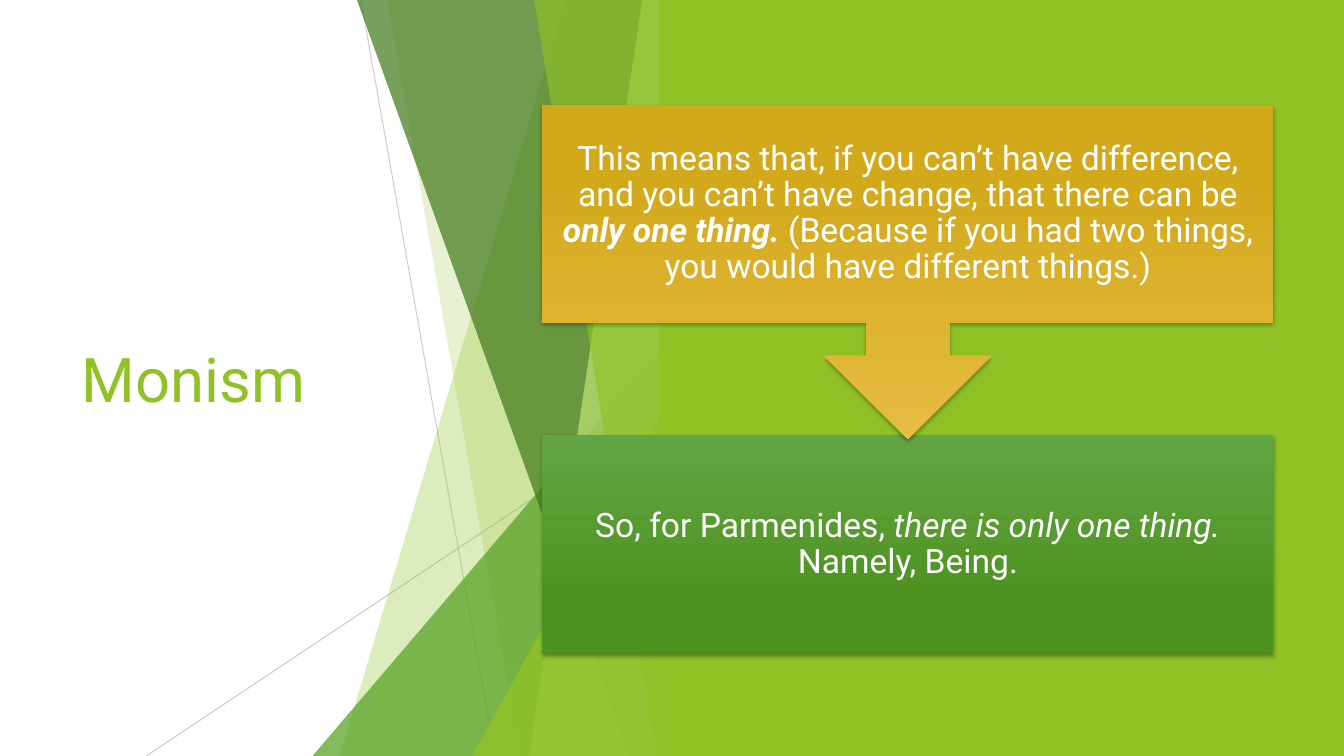
from dataclasses import dataclass
from lxml.etree import SubElement
from pptx import Presentation
from pptx.dml.color import RGBColor as Rgb
from pptx.enum.shapes import MSO_CONNECTOR as Conn, MSO_SHAPE as Kind
from pptx.enum.text import MSO_ANCHOR as Anchor, PP_ALIGN as Align
from pptx.oxml.ns import qn
from pptx.util import Inches, Pt

WIDE, HIGH = 13.33, 7.5
EDGE = 6.66
FONT = "Roboto"
HUES = {
    "white": "FFFFFF", "black": "000000", "grey": "BFBFBF",
    "lime": "90C226", "green": "54A021", "dark": "3F7819", "pale": "C0E474",
    "leaf": "63A545", "moss": "4D921E", "gold": "E7BC43", "amber": "D2A91B",
}


@dataclass
class Ray:
    start: tuple[float, float]
    end: tuple[float, float]
    alpha: int


@dataclass
class Facet:
    """Full-height pane from its slanted side to EDGE."""
    hue: str
    alpha: int
    top: float
    foot: float


@dataclass
class Peak:
    """Triangle standing on the slide's foot, with its tip on EDGE."""
    hue: str
    alpha: int
    left: float
    tip: float


@dataclass
class Run:
    text: str
    bold: bool = False
    italic: bool = False


@dataclass
class Step:
    kind: Kind
    top: float
    high: float
    turn: int
    hues: tuple[str, str]
    runs: list[Run]


RAYS = [Ray((3.58, 0), (4.91, HIGH), 75), Ray((EDGE, 4.03), (1.45, HIGH), 80)]
PANES = [
    Facet("lime", 30, 5.61, 3.37),
    Facet("lime", 20, 3.84, 5.16),
    Peak("green", 72, 3.1, 3.33),
    Facet("dark", 70, 3.54, 6.24),
    Facet("pale", 70, 6.37, 5.25),
    Facet("lime", 65, 5.3, 6.51),
    Peak("lime", 80, 4.68, 3.93),
]
BOX_LEFT, BOX_WIDE, BOX_HIGH = 5.38, 7.25, 2.16
STEPS = [
    Step(Kind.RECTANGLE, 4.32, BOX_HIGH, 0, ("leaf", "moss"), [
        Run("So, for Parmenides, "),
        Run("there is only one thing.", italic=True),
        Run(" Namely, Being."),
    ]),
    Step(Kind.UP_ARROW_CALLOUT, 1.04, 3.32, 180, ("gold", "amber"), [
        Run("This means that, if you can’t have difference, and you can’t "
            "have change, that there can be "),
        Run("only one thing. ", bold=True, italic=True),
        Run("(Because if you had two things, you would have different things.)"),
    ]),
]


def color(name: str) -> Rgb:
    return Rgb.from_string(HUES[name])


def fade(shape, alpha: int) -> None:
    """Set the opacity, in percent, of the shape's colour."""
    for node in shape.element.spPr.iter(qn("a:srgbClr")):
        SubElement(node, qn("a:alpha"), val=str(alpha * 1000))


def paint(shape, hue: str) -> None:
    shape.shadow.inherit = False
    shape.fill.solid()
    shape.fill.fore_color.rgb = color(hue)
    shape.line.fill.background()


def draw_ray(shapes, ray: Ray) -> None:
    ends = [Inches(n) for n in ray.start + ray.end]
    line = shapes.add_connector(Conn.STRAIGHT, *ends)
    line.line.color.rgb = color("grey")
    line.line.width = Pt(0.75)
    fade(line, ray.alpha)
    SubElement(line.element.spPr, qn("a:effectLst"))


def draw_pane(shapes, pane: Facet | Peak) -> None:
    if isinstance(pane, Peak):
        shape = shapes.add_shape(
            Kind.ISOSCELES_TRIANGLE, Inches(pane.left), Inches(pane.tip),
            Inches(EDGE - pane.left), Inches(HIGH - pane.tip))
        shape.adjustments[0] = 1
    else:
        rest = [(EDGE, 0), (EDGE, HIGH), (pane.foot, HIGH)]
        path = shapes.build_freeform(Inches(pane.top), 0)
        path.add_line_segments([(Inches(x), Inches(y)) for x, y in rest])
        shape = path.convert_to_shape()
    paint(shape, pane.hue)
    fade(shape, pane.alpha)


def cast(shape) -> None:
    """Give the shape a soft shadow just below it."""
    shape.shadow.inherit = False
    effects = shape.element.spPr.find(qn("a:effectLst"))
    outer = SubElement(effects, qn("a:outerShdw"), blurRad=str(Pt(3)),
                       dist=str(Pt(2)), dir="5400000", rotWithShape="0")
    tint = SubElement(outer, qn("a:srgbClr"), val=HUES["black"])
    SubElement(tint, qn("a:alpha"), val="35000")


def draw_step(shapes, step: Step) -> None:
    left, top, wide = Inches(BOX_LEFT), Inches(step.top), Inches(BOX_WIDE)
    shape = shapes.add_shape(step.kind, left, top, wide, Inches(step.high))
    shape.rotation = step.turn
    shape.fill.gradient()
    shape.fill.gradient_angle = 270
    for stop, hue, place in zip(shape.fill.gradient_stops, step.hues, (0, 0.78)):
        stop.color.rgb = color(hue)
        stop.position = place
    shape.line.fill.background()
    cast(shape)

    # Text stays upright in its own box when the shape is turned
    label = shape
    if step.turn:
        label = shapes.add_textbox(left, top, wide, Inches(BOX_HIGH))
    frame = label.text_frame
    frame.word_wrap = True
    frame.vertical_anchor = Anchor.MIDDLE
    frame.margin_left = frame.margin_right = Inches(0.19)
    frame.margin_top = frame.margin_bottom = Inches(0.19)
    para = frame.paragraphs[0]
    para.alignment = Align.CENTER
    para.line_spacing = 0.9
    para.font.name = FONT
    para.font.size = Pt(24)
    para.font.color.rgb = color("white")
    for part in step.runs:
        run = para.add_run()
        run.text = part.text
        if part.bold:
            run.font.bold = True
        if part.italic:
            run.font.italic = True


def set_title(title, text: str) -> None:
    title.left, title.top = Inches(0.71), Inches(1.51)
    title.width, title.height = Inches(3.88), Inches(4.48)
    title.text_frame.text = text
    title.text_frame.vertical_anchor = Anchor.MIDDLE
    para = title.text_frame.paragraphs[0]
    para.alignment = Align.LEFT
    para.font.name = FONT
    para.font.size = Pt(44)
    para.font.color.rgb = color("lime")


def main() -> None:
    deck = Presentation()
    deck.slide_width, deck.slide_height = Inches(WIDE), Inches(HIGH)
    shapes = deck.slides.add_slide(deck.slide_layouts[5]).shapes
    set_title(shapes.title, "Monism")
    for ray in RAYS:
        draw_ray(shapes, ray)
    for pane in PANES:
        draw_pane(shapes, pane)
    panel = shapes.add_shape(Kind.RECTANGLE, Inches(6.54), 0,
                             Inches(WIDE - 6.54), Inches(HIGH))
    paint(panel, "lime")
    for step in STEPS:
        draw_step(shapes, step)
    deck.save("out.pptx")


if __name__ == "__main__":
    main()
